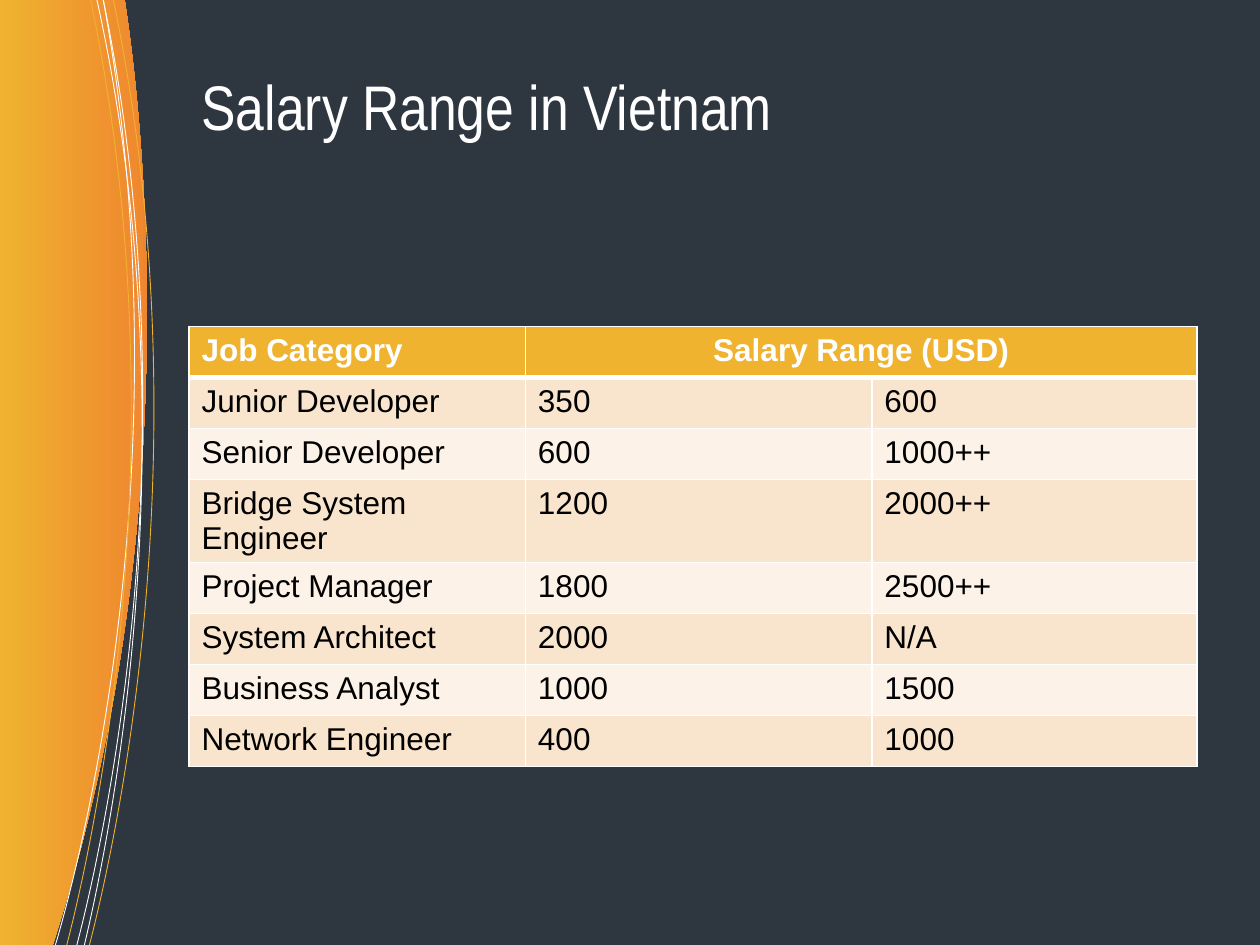
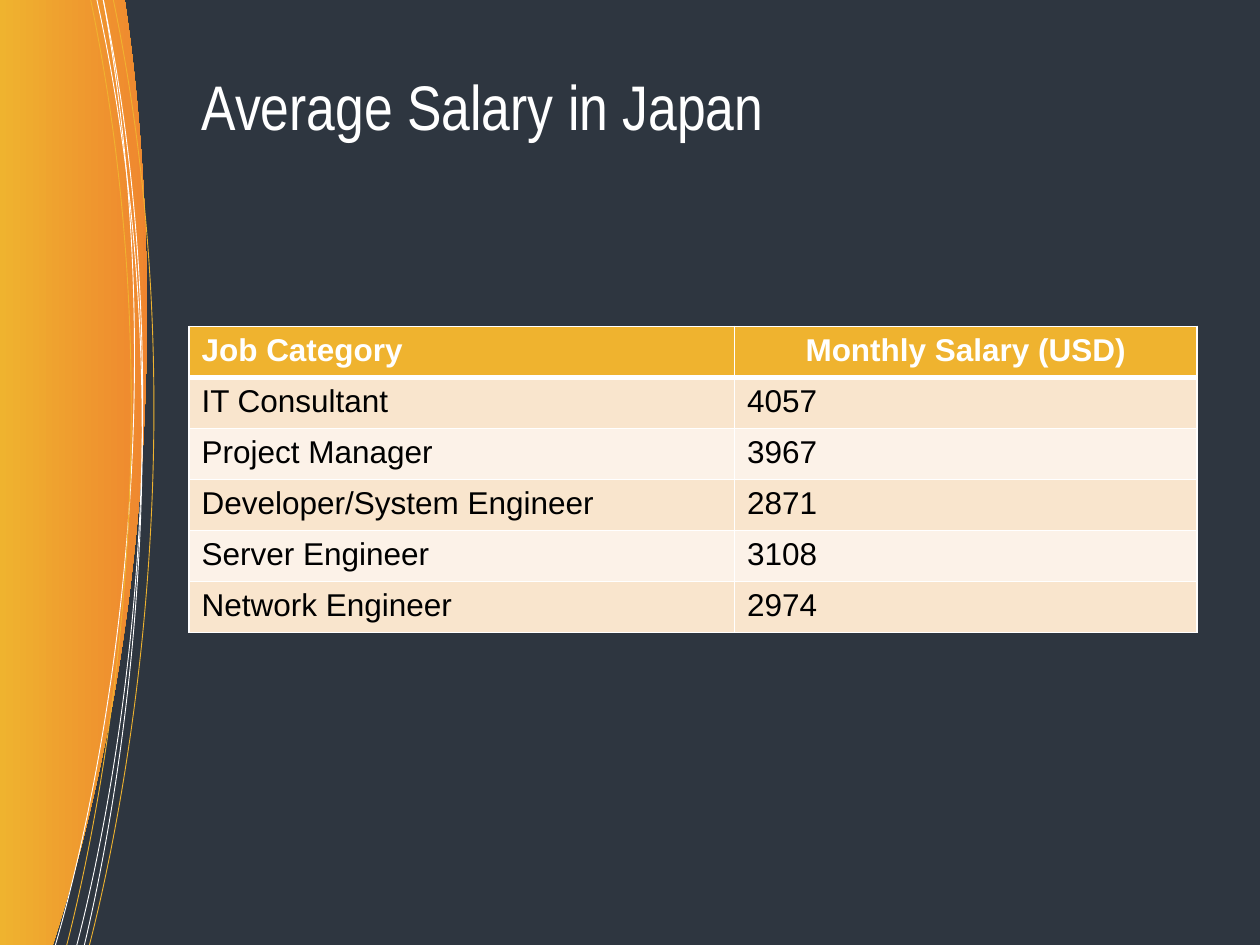
from pptx import Presentation
from pptx.dml.color import RGBColor
from pptx.enum.text import MSO_ANCHOR, PP_ALIGN
from pptx.oxml import parse_xml
from pptx.oxml.ns import nsdecls, qn
from pptx.util import Inches, Pt

UNIT = Inches(0.5)  # one grid step: 20 columns by 15 rows
COLS, ROWS = 20, 15
LEFT, ROW = 3, 0.81
DARK, WHITE, BLACK, GOLD, ORANGE = "2E3640", "FFFFFF", "000000", "EFB32F", "EF792F"
BANDS = "F9E5CD", "FCF2E8"

# Each curve runs from the top edge to the bottom edge through two handles.
EDGE = [(1.98, 0), (2.26, 1.82), (3, 8.24), (0.84, ROWS)]
SIDE = [(0.58, ROWS), (0, 3.24), (0, 0)]
WEDGE = [(0.58, ROWS), (0, 3.24), (0, ROWS)]
STRANDS = [
    (WHITE, [(1.64, 0), (2.94, 7.12), (1.32, 13.52), (0.88, ROWS)]),
    (WHITE, [(1.54, 0), (3.06, 6.9), (1.76, 13.24), (1.34, ROWS)]),
    (GOLD, [(1.8, 0), (3.24, 6.92), (1.88, 13.22), (1.42, ROWS)]),
    (WHITE, [(1.64, 0), (3.06, 6.92), (1.68, 13.24), (1.22, ROWS)]),
    (GOLD, [(1.44, 0), (2.88, 6.92), (1.52, 13.22), (1.06, ROWS)]),
]


def grid(steps):
    """Turn grid steps into a length."""
    return round(steps * UNIT)


def color(code):
    """Turn a hex string into a colour."""
    return RGBColor.from_string(code)


def bend(shape):
    """Turn the first three line segments of a freeform into one cubic curve."""
    lines = list(shape.element.iter(qn("a:lnTo")))[:3]
    cubic = parse_xml(f'<a:cubicBezTo {nsdecls("a")}/>')
    lines[0].addprevious(cubic)
    for line in lines:
        cubic.append(line[0])
        line.getparent().remove(line)


class Deck:
    """Holds the style and the current slide."""

    def __init__(self):
        """Start an empty deck with a dark background."""
        self.file = Presentation()
        self.file.slide_width, self.file.slide_height = grid(COLS), grid(ROWS)
        self.master = self.file.slide_master
        fill = self.master.background.fill
        fill.solid()
        fill.fore_color.rgb = color(DARK)
        self.slide = None

    def page(self, text):
        """Add a slide with its title."""
        self.slide = self.file.slides.add_slide(self.file.slide_layouts[5])
        title = self.slide.shapes.title
        title.left, title.top = grid(LEFT), grid(1)
        title.width, title.height = grid(14), grid(1.5)
        title.text_frame.text = text
        title.text_frame.vertical_anchor = MSO_ANCHOR.MIDDLE
        para = title.text_frame.paragraphs[0]
        para.line_spacing = 0.9
        self.style(para, 36, WHITE, "Arial Narrow")

    def style(self, para, size, ink, font="Arial", bold=False, align=PP_ALIGN.LEFT):
        """Format a paragraph and its runs."""
        para.alignment = align
        for run in para.runs:
            run.font.name, run.font.size, run.font.bold = font, Pt(size), bold
            run.font.color.rgb = color(ink)

    def outline(self, *parts, close=False):
        """Draw a freeform of one or more parts that opens with a curve."""
        pen = None
        for part in parts:
            spots = [(grid(x), grid(y)) for x, y in part]
            if pen:
                pen.move_to(*spots[0])
            else:
                pen = self.slide.shapes.build_freeform(*spots[0])
            pen.add_line_segments(spots[1:], close=close)
        shape = pen.convert_to_shape()
        shape.shadow.inherit = False
        bend(shape)
        return shape

    def swoosh(self):
        """Draw the left band and its strands, then hand them to the master."""
        band = self.outline(EDGE + SIDE, WEDGE, close=True)
        band.line.fill.background()
        band.fill.gradient()
        band.fill.gradient_angle = 0
        for stop, code in zip(band.fill.gradient_stops, (GOLD, ORANGE)):
            stop.color.rgb = color(code)
        shapes = [band]
        for code, ends in STRANDS:
            strand = self.outline(ends)
            strand.fill.background()
            strand.line.color.rgb = color(code)
            strand.line.width = Pt(0.5)
            shapes.append(strand)
        tree = self.master.shapes.element
        for i, shape in enumerate(shapes):
            tree.insert(2 + i, shape.element)

    def border(self, cell, top, bottom):
        """Give a cell white edges of the given widths in points."""
        props = cell._tc.get_or_add_tcPr()
        for i, (side, width) in enumerate(zip("LRTB", (1, 1, top, bottom))):
            props.insert(i, parse_xml(
                f'<a:ln{side} {nsdecls("a")} w="{Pt(width)}"><a:solidFill>'
                f'<a:srgbClr val="{WHITE}"/></a:solidFill></a:ln{side}>'))

    def table(self, widths, head, rows):
        """Add a banded table; a short header spans the columns left over."""
        data = [head, *rows]
        frame = self.slide.shapes.add_table(
            len(data), len(widths), grid(LEFT), grid(5.18),
            grid(sum(widths)), grid(ROW * len(data)))
        table = frame.table
        table.horz_banding = False
        for col, width in zip(table.columns, widths):
            col.width = grid(width)
        for r, texts in enumerate(data):
            table.rows[r].height = grid(ROW)
            for c in range(len(widths)):
                cell = table.cell(r, c)
                cell.fill.solid()
                cell.fill.fore_color.rgb = color(BANDS[(r - 1) % 2] if r else GOLD)
                self.border(cell, 3 if r == 1 else 1, 1 if r else 3)
                if c < len(texts):
                    cell.text_frame.text = texts[c]
                    mid = r == 0 and c > 0
                    self.style(cell.text_frame.paragraphs[0], 18, BLACK if r else WHITE,
                               bold=r == 0, align=PP_ALIGN.CENTER if mid else PP_ALIGN.LEFT)
        if len(head) < len(widths):
            table.cell(0, len(head) - 1).merge(table.cell(0, len(widths) - 1))


deck = Deck()

deck.page("Salary Range in Vietnam")
deck.swoosh()
deck.table((5.34, 5.5, 5.16), ("Job Category", "Salary Range (USD)"), [
    ("Junior Developer", "350", "600"),
    ("Senior Developer", "600", "1000++"),
    ("Bridge System Engineer", "1200", "2000++"),
    ("Project Manager", "1800", "2500++"),
    ("System Architect", "2000", "N/A"),
    ("Business Analyst", "1000", "1500"),
    ("Network Engineer", "400", "1000"),
])

deck.page("Average Salary in Japan")
deck.table((8.66, 7.34), ("Job Category", "Monthly Salary (USD)"), [
    ("IT Consultant", "4057"),
    ("Project Manager", "3967"),
    ("Developer/System Engineer", "2871"),
    ("Server Engineer", "3108"),
    ("Network Engineer", "2974"),
])

deck.file.save("out.pptx")
